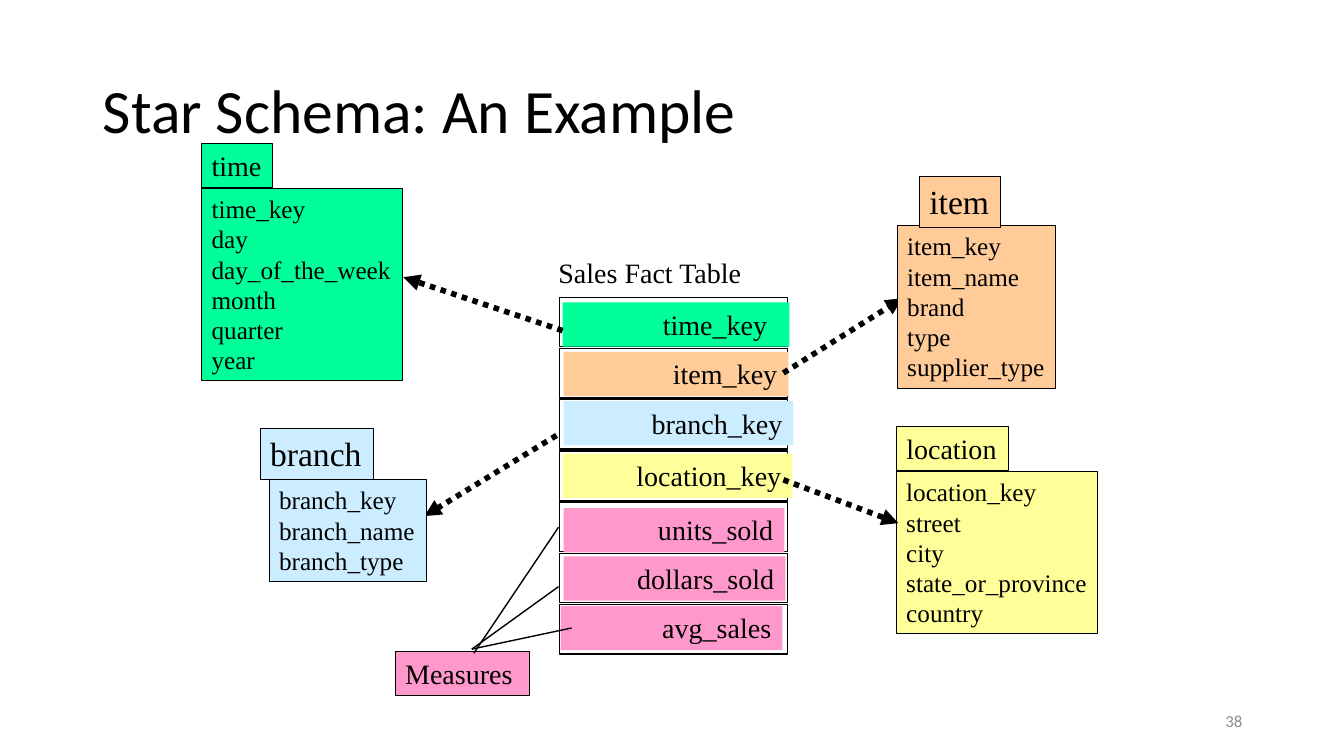
import pptx
import pptx.util
import pptx.dml.color
import pptx.enum.dml
import pptx.enum.shapes
import pptx.enum.text
import lxml.etree

SERIF, SANS = "Times New Roman", "Calibri"
BLACK, GREY = "000000", "8C8C8C"
GREEN, ORANGE, BLUE, YELLOW, PINK = "00FF99", "FFCC99", "CCECFF", "FFFF99", "FF99CC"
ALIGN = pptx.enum.text.PP_ALIGN
ANCHOR = pptx.enum.text.MSO_ANCHOR

TITLE = "Star Schema: An Example"
# name, size of name, name box, columns, column box, colour
TIME = ("time", 20, (2, 1.42, 0.7, 0.44),
        ["time_key", "day", "day_of_the_week", "month", "quarter", "year"],
        (2, 1.87, 1.99, 1.91), GREEN)
LOCATION = ("location", 20, (8.89, 4.23, 1.11, 0.44),
            ["location_key", "street", "city", "state_or_province", "country"],
            (8.89, 4.68, 2, 1.61), YELLOW)
ITEM = ("item", 24, (9.12, 1.75, 0.8, 0.51),
        ["item_key", "item_name", "brand", "type", "supplier_type"],
        (8.9, 2.24, 1.57, 1.61), ORANGE)
BRANCH = ("branch", 24, (2.58, 4.25, 1.12, 0.51),
          ["branch_key", "branch_name", "branch_type"],
          (2.67, 4.76, 1.56, 1.01), BLUE)

# name, colour, left, top and width of the bar, right inset
FACTS = [
    ("time_key", GREEN, 5.58, 3, 2.25, 0.22),
    ("item_key", ORANGE, 5.59, 3.49, 2.23, 0.11),
    ("branch_key", BLUE, 5.59, 3.98, 2.28, 0.11),
    ("location_key", YELLOW, 5.58, 4.5, 2.28, 0.11),
    ("units_sold", PINK, 5.59, 5.04, 2.19, 0.11),
    ("dollars_sold", PINK, 5.59, 5.52, 2.2, 0.11),
    ("avg_sales", PINK, 5.56, 6.01, 2.2, 0.11),
]
FACT_LEFT, FACT_TOP, FACT_WIDTH, FACT_HEIGHT, FACT_PITCH = 5.55, 2.95, 2.26, 0.49, 0.508
BAR_HEIGHT = 0.44

MEASURE_LINES = [(4.7, 6.48, 5.54, 5.23), (4.68, 6.44, 5.54, 5.82), (4.68, 6.44, 5.67, 6.23)]
KEY_ARROWS = [(5.52, 4.32, 4.21, 5.12), (5.58, 3.28, 4, 2.75),
              (7.77, 4.76, 8.91, 5.19), (7.77, 3.7, 8.95, 2.96)]


def inches(values):
    return [pptx.util.Inches(v) for v in values]


def rgb(value):
    return pptx.dml.color.RGBColor.from_string(value)


def write(s, lines, size, font=SERIF, color=BLACK, align=ALIGN.LEFT,
          anchor=ANCHOR.TOP, wrap=False, right=0.1):
    tf = s.text_frame
    tf.word_wrap, tf.vertical_anchor = wrap, anchor
    tf.margin_left, tf.margin_top, tf.margin_right, tf.margin_bottom = inches(
        (0.1, 0.05, right, 0.05))
    for i, line in enumerate(lines):
        p = tf.add_paragraph() if i else tf.paragraphs[0]
        p.text, p.alignment = line, align
        p.font.size, p.font.name = pptx.util.Pt(size), font
        p.font.color.rgb = rgb(color)


def add_box(box, fill=None, line=None):
    s = slide.shapes.add_shape(pptx.enum.shapes.MSO_SHAPE.RECTANGLE, *inches(box))
    s.shadow.inherit = False
    if fill:
        s.fill.solid()
        s.fill.fore_color.rgb = rgb(fill)
    else:
        s.fill.background()
    if line:
        s.line.color.rgb, s.line.width = rgb(BLACK), pptx.util.Pt(line)
    else:
        s.line.fill.background()
    return s


def add_dimension(name, size, name_box, columns, column_box, color):
    write(add_box(column_box, color, 0.75), columns, 18)
    write(add_box(name_box, color, 0.75), [name], size)


def add_line(ends, width):
    s = slide.shapes.add_connector(pptx.enum.shapes.MSO_CONNECTOR.STRAIGHT, *inches(ends))
    s.line.color.rgb, s.line.width = rgb(BLACK), pptx.util.Pt(width)
    lxml.etree.SubElement(s._element.spPr, pptx.oxml.ns.qn("a:effectLst"))
    return s


def add_key_arrow(ends):
    s = add_line(ends, 4)
    s.line.dash_style = pptx.enum.dml.MSO_LINE.ROUND_DOT
    lxml.etree.SubElement(s.line._get_or_add_ln(), pptx.oxml.ns.qn("a:tailEnd"), type="triangle")


prs = pptx.Presentation()
prs.slide_width, prs.slide_height = inches((13.33, 7.5))
slide = prs.slides.add_slide(prs.slide_layouts[5])

title = slide.shapes.title
title.left, title.top, title.width, title.height = inches((0.92, 0.4, 11.5, 1.45))
write(title, [TITLE], 44, SANS, anchor=ANCHOR.MIDDLE, wrap=True)
title.text_frame.paragraphs[0].line_spacing = 0.9

add_dimension(*TIME)
add_dimension(*LOCATION)

write(slide.shapes.add_textbox(*inches((5.44, 2.49, 2.03, 0.44))), ["Sales Fact Table"], 20)
for row, (name, color, left, top, width, inset) in enumerate(FACTS):
    add_box((FACT_LEFT, FACT_TOP + row * FACT_PITCH, FACT_WIDTH, FACT_HEIGHT), line=1)
    write(add_box((left, top, width, BAR_HEIGHT), color), [name], 20,
          align=ALIGN.RIGHT, wrap=True, right=inset)

write(add_box((3.92, 6.46, 1.33, 0.44), PINK, 0.75), ["Measures"], 20, wrap=True)
for ends in MEASURE_LINES:
    add_line(ends, 1)
for ends in KEY_ARROWS:
    add_key_arrow(ends)

add_dimension(*ITEM)
add_dimension(*BRANCH)

write(slide.shapes.add_textbox(*inches((9.42, 6.95, 3, 0.4))), ["38"], 12, SANS, GREY,
      ALIGN.RIGHT, ANCHOR.MIDDLE, True)

prs.save("out.pptx")
